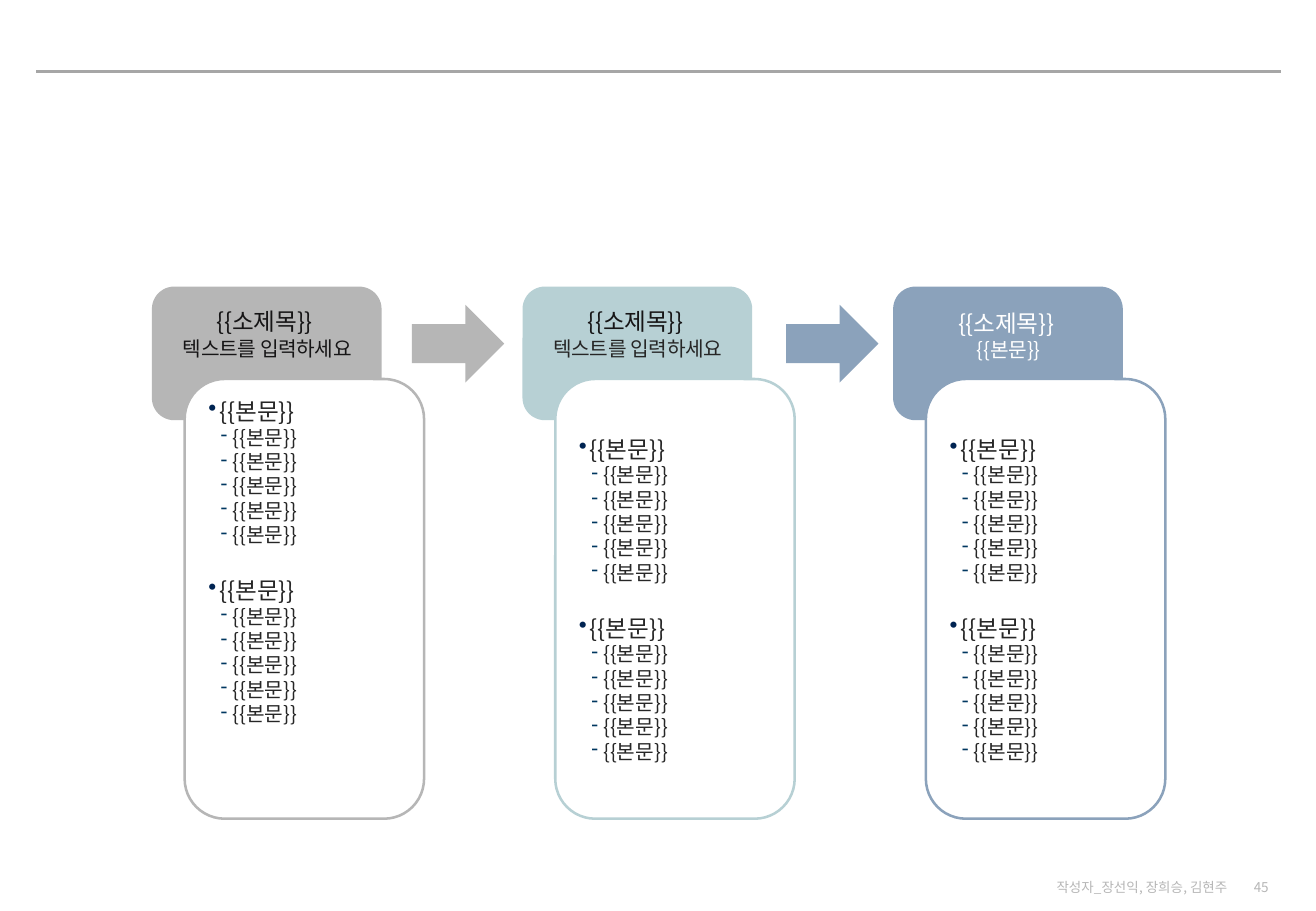
from lxml.etree import SubElement
from pptx import Presentation
from pptx.dml.color import RGBColor
from pptx.enum.shapes import MSO_CONNECTOR, MSO_SHAPE
from pptx.enum.text import MSO_ANCHOR, PP_ALIGN
from pptx.oxml.ns import qn
from pptx.util import Inches, Pt

COLORS = {
    "gray": "B6B6B6", "teal": "B7D0D4", "blue": "8BA2BB", "white": "FFFFFF",
    "rule": "A6A6A6", "title": "161516", "body": "262626",
    "bullet": "002452", "dash": "003760",
}
FONT = "Noto Sans CJK KR"
CELL = 0.1
COLUMNS, ROWS = 108.3, 75
BULLETS = {1: ("•", "bullet", 0.09, -0.09, 14), 2: ("‐", "dash", 0.2, -0.1, 12)}
GROUP_GAP = 17.3


def rgb(name):
    return RGBColor.from_string(COLORS[name])


def cells(*counts):
    return [Inches(count * CELL) for count in counts]


class ProcessSlide:
    """Draws process elements on one slide, measured in grid columns and rows."""

    def __init__(self, deck):
        self.slide = deck.slides.add_slide(deck.slide_layouts[6])

    def apply(self, target, formats):
        for attribute, value in formats.items():
            setattr(target, attribute, value)

    def rule(self, left, right, row):
        divider = self.slide.shapes.add_connector(
            MSO_CONNECTOR.STRAIGHT, *cells(left, row, right, row))
        divider.line.color.rgb = rgb("rule")
        divider.line.width = 0
        SubElement(divider._element.spPr, qn("a:effectLst"))

    def block(self, kind, area, fill, outline=None, adjustments=(0.167,)):
        block = self.slide.shapes.add_shape(kind, *cells(*area))
        block.shadow.inherit = False
        for position, value in enumerate(adjustments):
            block.adjustments[position] = value
        block.fill.solid()
        block.fill.fore_color.rgb = rgb(fill)
        if outline:
            block.line.color.rgb = rgb(outline)
            block.line.width = Pt(1.5)
        else:
            block.line.fill.background()
        return block

    def add_words(self, paragraph, words, size, color, spacing=None):
        run = paragraph.add_run()
        run.text = words
        self.apply(run.font, {"size": Pt(size), "name": FONT})
        run.font.color.rgb = rgb(color)
        properties = run._r.get_or_add_rPr()
        SubElement(properties, qn("a:ea"), typeface=FONT)
        if spacing:
            properties.set("spc", str(spacing))

    def label(self, area, words, size, color, align=PP_ALIGN.CENTER,
              anchor=MSO_ANCHOR.TOP, spacing=None):
        frame = self.slide.shapes.add_textbox(*cells(*area)).text_frame
        self.apply(frame, {"word_wrap": True, "vertical_anchor": anchor})
        frame.paragraphs[0].alignment = align
        self.add_words(frame.paragraphs[0], words, size, color, spacing)

    def outline_list(self, panel, anchor, groups):
        frame = panel.text_frame
        self.apply(frame, {"word_wrap": True, "vertical_anchor": anchor})
        entries = [(level, words, index > 0 and level == 1)
                   for index, (heading, details) in enumerate(groups)
                   for level, words in [(1, heading)] + [(2, d) for d in details]]
        for position, (level, words, gap) in enumerate(entries):
            entry = frame.add_paragraph() if position else frame.paragraphs[0]
            mark, mark_color, margin, indent, size = BULLETS[level]
            self.apply(entry, {"level": level, "alignment": PP_ALIGN.LEFT})
            if gap:
                entry.space_before = Pt(GROUP_GAP)
            properties = entry._p.get_or_add_pPr()
            properties.set("marL", str(Inches(margin)))
            properties.set("indent", str(Inches(indent)))
            tint = SubElement(properties, qn("a:buClr"))
            SubElement(tint, qn("a:srgbClr"), val=COLORS[mark_color])
            SubElement(properties, qn("a:buChar"), char=mark)
            self.add_words(entry, words, size, "body")

    def step(self, left, theme, subtitle, title_color, subtitle_color, anchor, drop):
        self.block(MSO_SHAPE.ROUNDED_RECTANGLE, (left, 23.6, 18.9, 11), theme)
        panel = self.block(MSO_SHAPE.ROUNDED_RECTANGLE,
                           (left + 2.7, 31.2, 19.7, 36.2), "white", theme)
        self.outline_list(panel, anchor, [("{{본문}}", ["{{본문}}"] * 5)] * 2)
        self.label((left + 0.2, 24.8 + drop, 18.2, 3.8), "{{소제목}}", 14,
                   title_color, spacing=-20)
        self.label((left + 0.4, 27.2 + drop, 18.2, 3.4), subtitle, 12,
                   subtitle_color, spacing=-20)

    def arrow(self, left, theme):
        self.block(MSO_SHAPE.RIGHT_ARROW, (left, 25.1, 7.6, 6.4), theme,
                   adjustments=(0.5, 0.5))


def main():
    deck = Presentation()
    deck.slide_width, deck.slide_height = cells(COLUMNS, ROWS)
    process = ProcessSlide(deck)
    process.rule(3, 105.4, 5.9)
    for area, words in [((101.3, 72.2, 4.1, 1.6), "45"),
                        ((85.2, 72.2, 16.8, 1.6), "작성자_장선익, 장희승, 김현주")]:
        process.label(area, words, 8, "gray", PP_ALIGN.RIGHT, MSO_ANCHOR.MIDDLE)
    prompt = "텍스트를 입력하세요"
    steps = [
        ("gray", prompt, "title", "title", MSO_ANCHOR.TOP, 0),
        ("teal", prompt, "title", "body", MSO_ANCHOR.MIDDLE, 0),
        ("blue", "{{본문}}", "white", "white", MSO_ANCHOR.MIDDLE, 0.1),
    ]
    for index, details in enumerate(steps):
        process.step(12.5 + 30.5 * index, *details)
    for index, theme in enumerate(["gray", "blue"]):
        process.arrow(33.9 + 30.8 * index, theme)
    deck.save("out.pptx")


if __name__ == "__main__":
    main()
